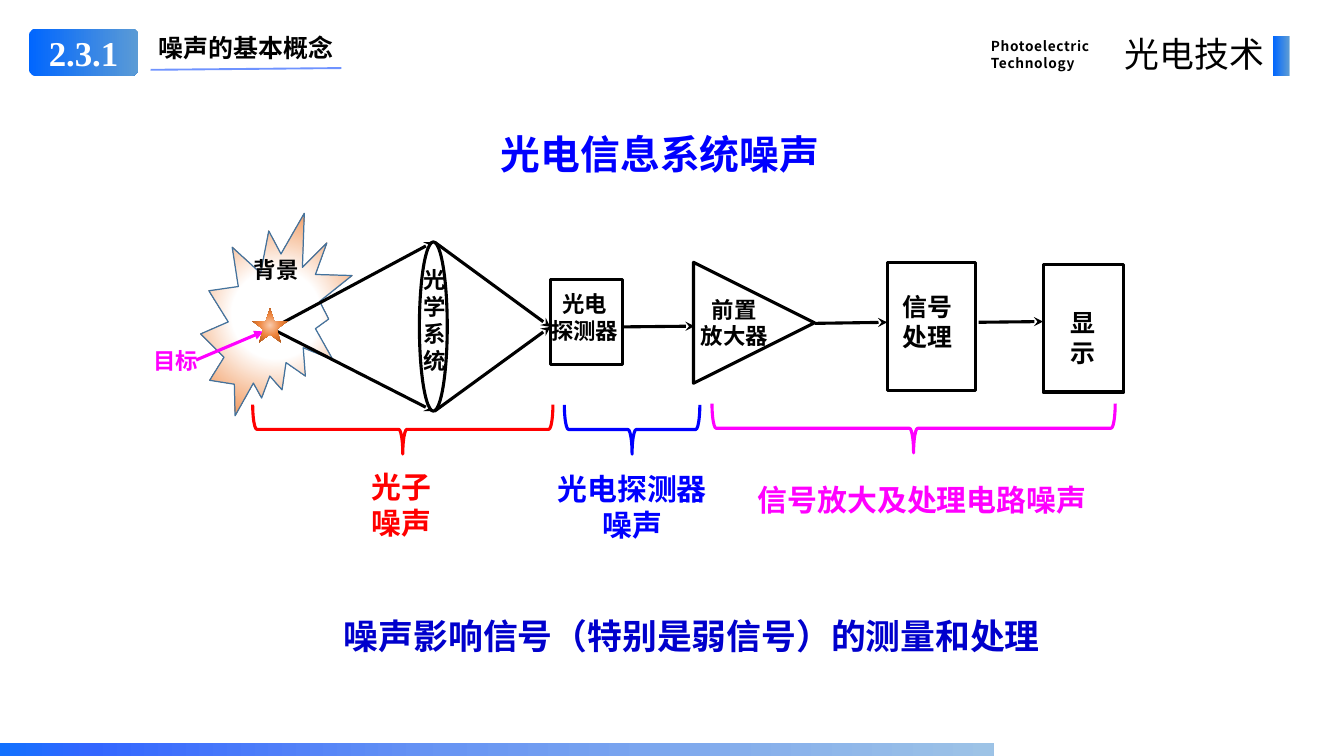
"""Build the slide on noise in a photoelectric information system."""
from lxml.etree import SubElement
from pptx import Presentation
from pptx.dml.color import RGBColor
from pptx.enum.shapes import MSO_CONNECTOR, MSO_SHAPE
from pptx.enum.text import MSO_ANCHOR, MSO_AUTO_SIZE, PP_ALIGN
from pptx.oxml import parse_xml
from pptx.oxml.ns import nsdecls, qn
from pptx.util import Cm, Pt

CJK_FONT = "Noto Sans CJK SC"
BLACK = RGBColor(0x00, 0x00, 0x00)
WHITE = RGBColor(0xFF, 0xFF, 0xFF)
RED = RGBColor(0xFF, 0x00, 0x00)
BLUE = RGBColor(0x00, 0x00, 0xFF)
DEEP_BLUE = RGBColor(0x00, 0x00, 0xCC)
MAGENTA = RGBColor(0xFF, 0x00, 0xFF)
OUTLINE_BLUE = RGBColor(0x43, 0x73, 0x9E)
ACCENT_BLUE = RGBColor(0x33, 0x66, 0xFF)
BRIGHT_BLUE = RGBColor(0x00, 0x66, 0xFF)
SOFT_BLUE = RGBColor(0x5B, 0x9B, 0xD5)
ORANGE = RGBColor(0xED, 0x7D, 0x31)
STAR_STOPS = [(0, RGBColor(0xF8, 0xCB, 0xAD)), (46, RGBColor(0xEE, 0x84, 0x3B)),
              (100, RGBColor(0x9E, 0x48, 0x0E))]
HEADER_STOPS = [(0, BRIGHT_BLUE), (100, SOFT_BLUE)]
FOOTER_STOPS = [(0, RGBColor(0x12, 0x71, 0xFE)), (9, ACCENT_BLUE),
                (45, RGBColor(0x68, 0x95, 0xF3)), (100, RGBColor(0x9D, 0xC3, 0xE6))]
LEFT, CENTER, RIGHT = PP_ALIGN.LEFT, PP_ALIGN.CENTER, PP_ALIGN.RIGHT


def write_text(box, text, size, color, align=LEFT, bold=True, font=CJK_FONT, spacing=0):
    box.text_frame.word_wrap = True
    box.text_frame.text = text
    for paragraph in box.text_frame.paragraphs:
        paragraph.alignment = align
        for span in paragraph.runs:
            span.font.name = font
            span.font.size = Pt(size)
            span.font.bold = bold
            span.font.color.rgb = color
            properties = span.font._element
            SubElement(properties, qn("a:ea")).set("typeface", font)
            if spacing:
                properties.set("spc", str(spacing))


def add_figure(kind, place, line=None, width=2.5, stops=(), radial=False):
    figure = page.shapes.add_shape(kind, *map(Cm, place))
    figure.shadow.inherit = False
    figure.fill.background()
    if line is None:
        figure.line.fill.background()
    else:
        figure.line.color.rgb = line
        figure.line.width = Pt(width)
    if stops:
        marks = "".join(f'<a:gs pos="{position * 1000}"><a:srgbClr val="{color}"/></a:gs>'
                        for position, color in stops)
        direction = '<a:lin ang="0" scaled="0"/>'
        if radial:
            direction = ('<a:path path="circle"><a:fillToRect l="50000" t="50000" '
                         'r="50000" b="50000"/></a:path>')
        gradient = parse_xml(f'<a:gradFill {nsdecls("a")} rotWithShape="1">'
                             f'<a:gsLst>{marks}</a:gsLst>{direction}</a:gradFill>')
        properties = figure._element.spPr
        properties.replace(properties.find(qn("a:noFill")), gradient)
    return figure


deck = Presentation()
deck.slide_width, deck.slide_height = Cm(38.1), Cm(21.44)
page = deck.slides.add_slide(deck.slide_layouts[5])

title = page.shapes.title
title.left, title.top, title.width, title.height = Cm(13.94), Cm(3.53), Cm(9.98), Cm(1.63)
write_text(title, "光电信息系统噪声", 32, BLUE)
title.text_frame.word_wrap = False
title.text_frame.auto_size = MSO_AUTO_SIZE.NONE
title.text_frame.vertical_anchor = MSO_ANCHOR.MIDDLE

add_figure(MSO_SHAPE.EXPLOSION2, (5.69, 6.05, 4.29, 5.74), OUTLINE_BLUE, 1,
           [(0, WHITE), (35, WHITE), (100, ORANGE)], radial=True)

stages = [
    (MSO_SHAPE.OVAL, (11.89, 6.86, 0.79, 4.8), 0),
    (MSO_SHAPE.RECTANGLE, (15.6, 7.92, 2.06, 2.41), 0),
    (MSO_SHAPE.ISOSCELES_TRIANGLE, (19.66, 7.44, 3.43, 3.43), 90),
    (MSO_SHAPE.RECTANGLE, (25.17, 7.44, 2.49, 3.63), 0),
    (MSO_SHAPE.RECTANGLE, (29.57, 7.49, 2.29, 3.63), 0),
]
for kind, place, rotation in stages:
    add_figure(kind, place, BLACK).rotation = rotation

braces = [
    ((10.72, 7.92, 1.4, 8.51), RED),
    ((17.22, 10.26, 1.4, 3.84), BLUE),
    ((25.2, 6.43, 1.4, 11.43), MAGENTA),
]
for place, color in braces:
    add_figure(MSO_SHAPE.LEFT_BRACE, place, color).rotation = 270

labels = [
    ("光学系统", (11.76, 7.42, 1.14, 3.33), 18, BLACK, LEFT),
    ("光电\n探测器", (15.32, 8.1, 2.51, 1.8), 18, BLACK, CENTER),
    ("前置\n放大器", (19.48, 8.26, 2.67, 1.8), 18, BLACK, CENTER),
    ("信号\n处理", (25.12, 8.15, 2.34, 1.96), 20, BLACK, CENTER),
    ("显示", (29.79, 8.61, 1.83, 1.12), 20, BLACK, CENTER),
    ("背景", (6.88, 7.14, 1.9, 1.02), 18, BLACK, CENTER),
    ("目标", (4.06, 9.73, 1.83, 1.02), 18, MAGENTA, CENTER),
    ("光子\n噪声", (10.29, 13.18, 2.69, 2.31), 24, RED, LEFT),
    ("光电探测器\n噪声", (15.29, 13.23, 5.26, 2.31), 24, BLUE, CENTER),
    ("信号放大及处理电路噪声", (21.23, 13.54, 9.91, 1.27), 24, MAGENTA, LEFT),
    ("噪声的基本概念", (4.11, 0.81, 5.74, 1.12), 20, BLACK, CENTER),
]
for text, place, size, color, align in labels:
    write_text(page.shapes.add_textbox(*map(Cm, place)), text, size, color, align)

lines = [
    ((5.56, 10.21, 7.47, 9.4), MAGENTA, 2.5, "triangle"),
    ((7.7, 9.32, 12.29, 6.86), BLACK, 2.5, "stealth"),
    ((7.7, 9.32, 12.29, 11.66), BLACK, 2.5, "stealth"),
    ((12.34, 6.88, 15.6, 9.27), BLACK, 2.5, "stealth"),
    ((12.32, 11.66, 15.6, 9.27), BLACK, 2.5, "stealth"),
    ((17.68, 9.27, 19.69, 9.25), BLACK, 2.5, "stealth"),
    ((23.11, 9.17, 25.15, 9.14), BLACK, 2.5, "stealth"),
    ((27.74, 9.14, 29.57, 9.12), BLACK, 2.5, "stealth"),
    ((4.27, 1.98, 9.68, 1.93), ACCENT_BLUE, 1.5, None),
]
for ends, color, width, arrowhead in lines:
    connector = page.shapes.add_connector(MSO_CONNECTOR.STRAIGHT, *map(Cm, ends))
    connector.line.color.rgb = color
    connector.line.width = Pt(width)
    outline = connector.line._get_or_add_ln()
    if arrowhead:
        SubElement(outline, qn("a:tailEnd")).set("type", arrowhead)
    else:
        SubElement(outline.find(".//" + qn("a:srgbClr")), qn("a:alpha")).set("val", "70000")
    SubElement(connector._element.spPr, qn("a:effectLst"))

add_figure(MSO_SHAPE.STAR_5_POINT, (7.16, 8.74, 0.99, 0.97), stops=STAR_STOPS, radial=True)

conclusion = add_figure(MSO_SHAPE.RECTANGLE, (9.5, 17.32, 21.18, 1.45))
conclusion.fill.solid()
conclusion.fill.fore_color.rgb = WHITE
conclusion.text_frame.vertical_anchor = MSO_ANCHOR.TOP
write_text(conclusion, "噪声影响信号（特别是弱信号）的测量和处理", 28, DEEP_BLUE)

badge = add_figure(MSO_SHAPE.ROUNDED_RECTANGLE, (0.81, 0.81, 3.12, 1.35), stops=HEADER_STOPS)
badge.text_frame.vertical_anchor = MSO_ANCHOR.MIDDLE
write_text(badge, "2.3.1", 28, WHITE, CENTER, font="Times New Roman")

english_name = page.shapes.add_textbox(Cm(27.84), Cm(0.91), Cm(4.01), Cm(1.24))
write_text(english_name, "Photoelectric\nTechnology", 11, BLACK, spacing=50)
for paragraph in english_name.text_frame.paragraphs:
    paragraph.line_spacing = Pt(14)

course_name = page.shapes.add_textbox(Cm(31.27), Cm(0.81), Cm(4.83), Cm(1.45))
write_text(course_name, "光电技术", 28, BLACK, RIGHT, bold=False, spacing=20)

add_figure(MSO_SHAPE.RECTANGLE, (36.09, 1.02, 0.46, 1.14), stops=HEADER_STOPS)
add_figure(MSO_SHAPE.RECTANGLE, (0, 21.08, 28.17, 0.36), stops=FOOTER_STOPS)

deck.save("out.pptx")
